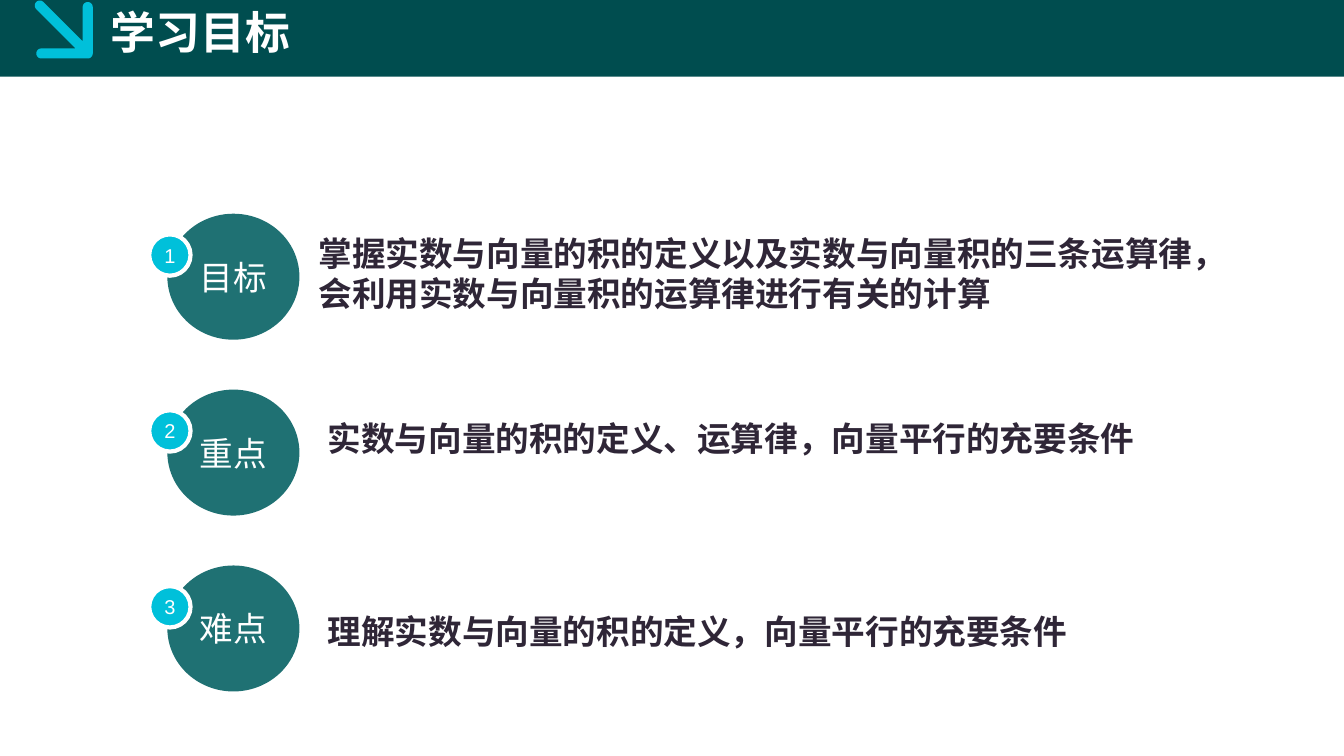
from math import cos, radians, sin

from pptx import Presentation
from pptx.dml.color import RGBColor
from pptx.enum.shapes import MSO_SHAPE as SHAPE
from pptx.enum.text import MSO_ANCHOR as ANCHOR, MSO_AUTO_SIZE as AUTO, PP_ALIGN as ALIGN
from pptx.util import Inches, Pt

WHITE = RGBColor(0xFF, 0xFF, 0xFF)
BANNER = RGBColor(0x00, 0x4D, 0x4F)
TEAL = RGBColor(0x1F, 0x71, 0x73)
CYAN = RGBColor(0x00, 0xC0, 0xDA)
INK = RGBColor(0x2F, 0x26, 0x37)

FONT = "Arial"
WIDTH, HEIGHT = 13.33, 7.5
FIRST_ROW, ROW_PITCH = 2.12, 1.745
CIRCLE_LEFT, CIRCLE_W, CIRCLE_H = 1.66, 1.31, 1.25
BADGE_LEFT, BADGE_DROP, BADGE_SIZE = 1.48, 0.205, 0.41
STROKE_RADIUS = 0.05

GOALS = [
    ("目标", "掌握实数与向量的积的定义以及实数与向量积的三条运算律，会利用实数与向量积的运算律进行有关的计算",
     (3.06, 2.26, 8.92, 0.91), (0.1, 0.05), None),
    ("重点", "实数与向量的积的定义、运算律，向量平行的充要条件",
     (3.18, 3.91, 8.8, 0.68), (0.07, 0.04), 1.5),
    ("难点", "理解实数与向量的积的定义，向量平行的充要条件",
     (3.18, 5.82, 8.1, 0.68), (0.07, 0.04), 1.5),
]


def add_run(p, text, size, color, bold=False):
    r = p.add_run()
    r.text = text
    r.font.name = FONT
    r.font.size = Pt(size)
    r.font.bold = bold
    r.font.color.rgb = color


def set_insets(tf, side, end):
    tf.margin_left = tf.margin_right = Inches(side)
    tf.margin_top = tf.margin_bottom = Inches(end)


def paint(sp, fill, line=None):
    sp.shadow.inherit = False
    sp.fill.solid()
    sp.fill.fore_color.rgb = fill
    if line is None:
        sp.line.fill.background()
    else:
        sp.line.color.rgb = line
        sp.line.width = Pt(3)


def add_shape(s, kind, box, fill, line=None):
    sp = s.shapes.add_shape(kind, *map(Inches, box))
    paint(sp, fill, line)
    return sp


def add_disc(s, box, text, size, fill, line=None):
    sp = add_shape(s, SHAPE.OVAL, box, fill, line)
    tf = sp.text_frame
    set_insets(tf, 0, 0)
    tf.vertical_anchor = ANCHOR.MIDDLE
    p = tf.paragraphs[0]
    p.alignment = ALIGN.CENTER
    add_run(p, text, size, WHITE)


def add_text(s, box, text, size, color, insets=(0.1, 0.05), spacing=None):
    tf = s.shapes.add_textbox(*map(Inches, box)).text_frame
    tf.word_wrap = True
    tf.auto_size = AUTO.SHAPE_TO_FIT_TEXT
    set_insets(tf, *insets)
    p = tf.paragraphs[0]
    p.line_spacing = spacing
    add_run(p, text, size, color, bold=True)


def arc(x, y, start, sweep, steps=12):
    angles = [radians(start + sweep * i / steps) for i in range(steps + 1)]
    return [(x + STROKE_RADIUS * cos(a), y + STROKE_RADIUS * sin(a)) for a in angles]


def add_arrow(s):
    points = (arc(0.41, 0.53, 270, -180) + arc(0.87, 0.53, 90, -90)
              + arc(0.87, 0.07, 0, -180) + [(0.82, 0.41)]
              + arc(0.395, 0.055, -45, -180) + [(0.75, 0.48)])
    outline = [(Inches(x), Inches(y)) for x, y in points]
    builder = s.shapes.build_freeform(*outline[0])
    builder.add_line_segments(outline[1:], close=True)
    paint(builder.convert_to_shape(), CYAN)


def add_goal(s, row, label, text, box, insets, spacing):
    top = FIRST_ROW + row * ROW_PITCH
    add_disc(s, (CIRCLE_LEFT, top, CIRCLE_W, CIRCLE_H), label, 24, TEAL)
    badge = (BADGE_LEFT, top + BADGE_DROP, BADGE_SIZE, BADGE_SIZE)
    add_disc(s, badge, str(row + 1), 14.3, CYAN, WHITE)
    add_text(s, box, text, 24, INK, insets, spacing)


def main():
    prs = Presentation()
    prs.slide_width, prs.slide_height = Inches(WIDTH), Inches(HEIGHT)
    s = prs.slides.add_slide(prs.slide_layouts[6])
    add_shape(s, SHAPE.RECTANGLE, (0, 0, WIDTH, 0.76), BANNER)
    add_arrow(s)
    add_text(s, (1, 0, 5.67, 0.64), "学习目标", 32, WHITE)
    for row, goal in enumerate(GOALS):
        add_goal(s, row, *goal)
    prs.save("out.pptx")


if __name__ == "__main__":
    main()
